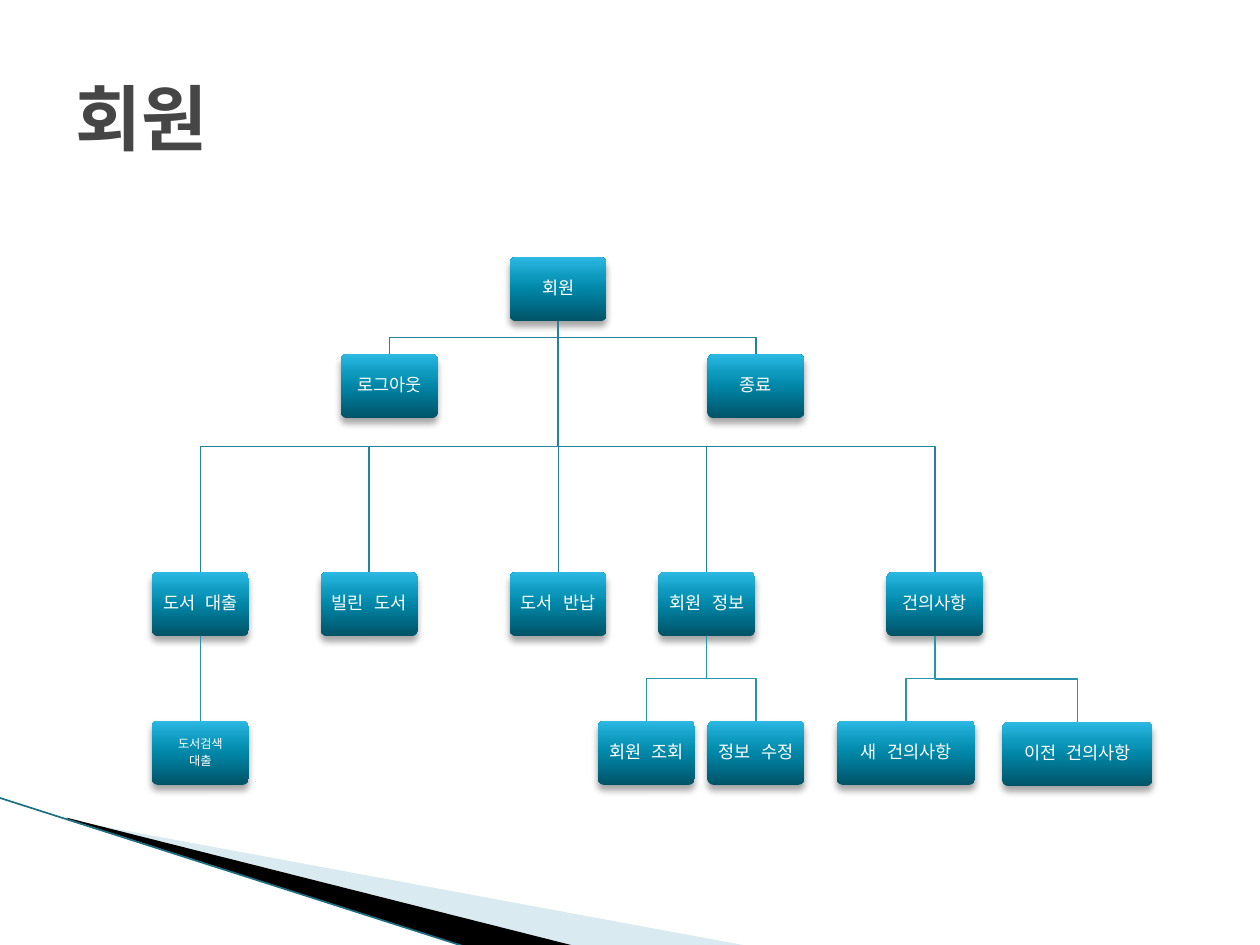
from dataclasses import dataclass
from lxml import etree
from pptx import Presentation
from pptx.dml.color import RGBColor
from pptx.enum.shapes import MSO_CONNECTOR, MSO_SHAPE
from pptx.enum.text import MSO_ANCHOR, PP_ALIGN
from pptx.oxml import parse_xml
from pptx.oxml.ns import nsdecls, qn
from pptx.util import Inches, Pt

STRAIGHT = MSO_CONNECTOR.STRAIGHT
ROUNDED = MSO_SHAPE.ROUNDED_RECTANGLE
CENTER, LEFT = PP_ALIGN.CENTER, PP_ALIGN.LEFT
MIDDLE = MSO_ANCHOR.MIDDLE


@dataclass(frozen=True)
class Theme:
    font: str = "Noto Sans Mono"
    title_size: int = 41
    box_size: int = 10
    small_size: int = 7
    title_color: str = "464646"
    box_text: str = "FFFFFF"
    upper_line: str = "248299"
    lower_line: str = "2993AD"
    wing_edge: str = "1B6F82"
    gradient: tuple = ((0, "005367"), (50, "0086A7"), (70, "0E9ABE"), (100, "2CB9E3"))


THEME = Theme()
TITLE = "회원"
BOX_WIDTH, BOX_HEIGHT = 0.77, 0.51
ROOT_TOP, SESSION_TOP, MENU_TOP, ACTION_TOP = 2.04, 2.81, 4.54, 5.72

BOXES = {
    "root": (["회원"], 4.43, ROOT_TOP, BOX_WIDTH, None),
    "suggestions": (["건의사항"], 7.42, MENU_TOP, BOX_WIDTH, "root"),
    "new suggestion": (["새 건의사항"], 7.19, ACTION_TOP, 1.1, "suggestions"),
    "old suggestions": (["이전 건의사항"], 8.55, 5.73, 1.19, "suggestions"),
    "lending": (["도서 대출"], 1.59, MENU_TOP, BOX_WIDTH, "root"),
    "search": (["도서검색", "대출"], 1.59, ACTION_TOP, BOX_WIDTH, "lending"),
    "member": (["회원 정보"], 5.61, MENU_TOP, BOX_WIDTH, "root"),
    "member view": (["회원 조회"], 5.13, ACTION_TOP, BOX_WIDTH, "member"),
    "member edit": (["정보 수정"], 6, ACTION_TOP, BOX_WIDTH, "member"),
    "return": (["도서 반납"], 4.43, MENU_TOP, BOX_WIDTH, "root"),
    "borrowed": (["빌린 도서"], 2.93, MENU_TOP, BOX_WIDTH, "root"),
    "exit": (["종료"], 6, SESSION_TOP, BOX_WIDTH, "root"),
    "logout": (["로그아웃"], 3.09, SESSION_TOP, BOX_WIDTH, "root"),
}

WINGS = [
    ([(0.55, 6.51), (5.95, 7.51), (4.56, 7.51), (0.55, 6.5)], "A0CBDC", 40),
    ([(0.53, 6.49), (4.57, 7.51), (3.72, 7.52), (0.54, 6.5)], "000000", 100),
]
WING_EDGE = [(-0.01, 6.33), (3.71, 7.52)]


def rgb(value):
    return RGBColor.from_string(value)


def add_text(paragraph, text, size, color, alignment, bold=False):
    paragraph.alignment = alignment
    run = paragraph.add_run()
    run.text = text
    run.font.size = Pt(size)
    run.font.bold = bold
    run.font.name = THEME.font
    run.font.color.rgb = rgb(color)
    east_asian = etree.SubElement(run.font._element, qn("a:ea"))
    east_asian.set("typeface", THEME.font)


def add_outline(slide, points, close):
    corners = [(Inches(x), Inches(y)) for x, y in points]
    builder = slide.shapes.build_freeform(*corners[0])
    builder.add_line_segments(corners[1:], close=close)
    shape = builder.convert_to_shape()
    shape.shadow.inherit = False
    return shape


def add_wing(slide, points, color, opacity):
    shape = add_outline(slide, points, True)
    shape.fill.solid()
    shape.fill.fore_color.rgb = rgb(color)
    shape.line.fill.background()
    if opacity < 100:
        color_node = shape._element.spPr.find(".//" + qn("a:srgbClr"))
        etree.SubElement(color_node, qn("a:alpha")).set("val", str(opacity * 1000))


def add_path(slide, points, color, width):
    if len(points) == 2:
        (x1, y1), (x2, y2) = points
        shape = slide.shapes.add_connector(
            STRAIGHT, Inches(x1), Inches(y1), Inches(x2), Inches(y2))
        etree.SubElement(shape._element.spPr, qn("a:effectLst"))
    else:
        shape = add_outline(slide, points, False)
        shape.fill.background()
    shape.line.color.rgb = rgb(color)
    shape.line.width = Pt(width)


def add_branch(slide, parent, child):
    x1, top = BOXES[parent][1:3]
    x2, y2 = BOXES[child][1:3]
    y1 = top + BOX_HEIGHT
    middle = (y1 + y2) / 2
    points = [(x1, y1), (x2, y2)]
    if x1 != x2:
        points[1:1] = [(x1, middle), (x2, middle)]
    color = THEME.upper_line if parent == "root" else THEME.lower_line
    add_path(slide, points, color, 0.75)


def fill_gradient(shape):
    shape.fill.gradient()
    shape.fill.gradient_angle = 90
    stops = shape._element.spPr.find(".//" + qn("a:gsLst"))
    for stop in list(stops):
        stops.remove(stop)
    for position, color in THEME.gradient:
        stop = etree.SubElement(stops, qn("a:gs"))
        stop.set("pos", str(position * 1000))
        etree.SubElement(stop, qn("a:srgbClr")).set("val", color)


def add_shadow(shape):
    shape.shadow.inherit = False
    effects = shape._element.spPr.find(qn("a:effectLst"))
    effects.append(parse_xml(
        f'<a:outerShdw {nsdecls("a")} blurRad="{Pt(4)}" dist="{Pt(3)}" '
        'dir="5400000" rotWithShape="0"><a:srgbClr val="000000">'
        '<a:alpha val="35000"/></a:srgbClr></a:outerShdw>'))


def add_box(slide, lines, center, top, width):
    shape = slide.shapes.add_shape(
        ROUNDED, Inches(center - width / 2), Inches(top), Inches(width), Inches(BOX_HEIGHT))
    shape.adjustments[0] = 0.1
    fill_gradient(shape)
    shape.line.fill.background()
    add_shadow(shape)
    frame = shape.text_frame
    frame.word_wrap = True
    frame.vertical_anchor = MIDDLE
    frame.margin_left = frame.margin_right = Inches(0.05)
    frame.margin_top = frame.margin_bottom = Inches(0.05)
    size = THEME.box_size if len(lines) == 1 else THEME.small_size
    for index, line in enumerate(lines):
        paragraph = frame.add_paragraph() if index else frame.paragraphs[0]
        paragraph.line_spacing = 0.9
        paragraph.space_after = Pt(size * 0.35)
        add_text(paragraph, line, size, THEME.box_text, CENTER)


presentation = Presentation()
presentation.slide_width, presentation.slide_height = Inches(10), Inches(7.5)
slide = presentation.slides.add_slide(presentation.slide_layouts[5])

title = slide.shapes.title
title.left, title.top, title.width, title.height = map(Inches, (0.5, 0.3, 9, 1.25))
title.text_frame.vertical_anchor = MIDDLE
add_text(title.text_frame.paragraphs[0], TITLE, THEME.title_size, THEME.title_color, LEFT, True)

for points, color, opacity in WINGS:
    add_wing(slide, points, color, opacity)
add_path(slide, WING_EDGE, THEME.wing_edge, 0.95)

for name, (lines, center, top, width, parent) in BOXES.items():
    if parent:
        add_branch(slide, parent, name)
    add_box(slide, lines, center, top, width)

presentation.save("out.pptx")
